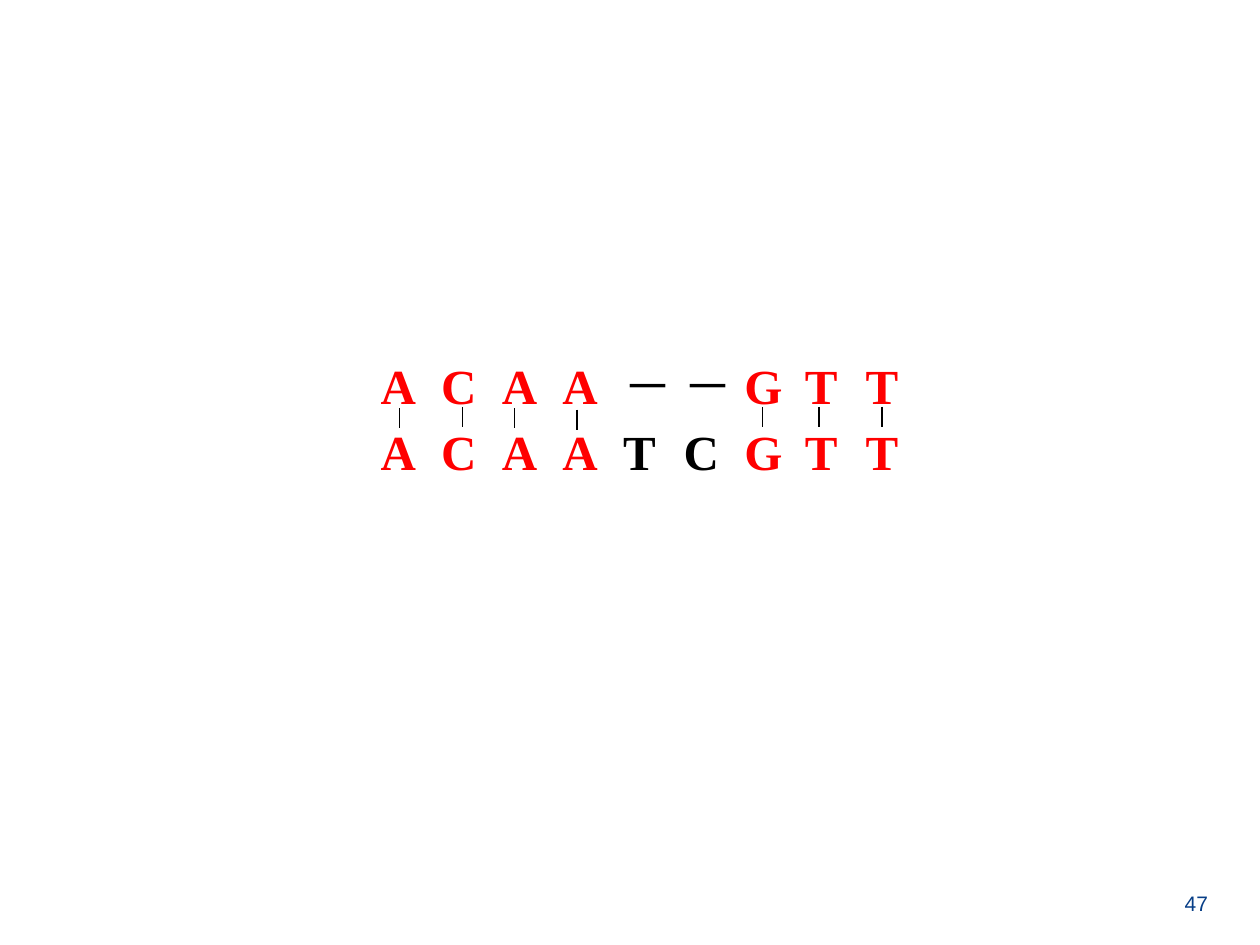
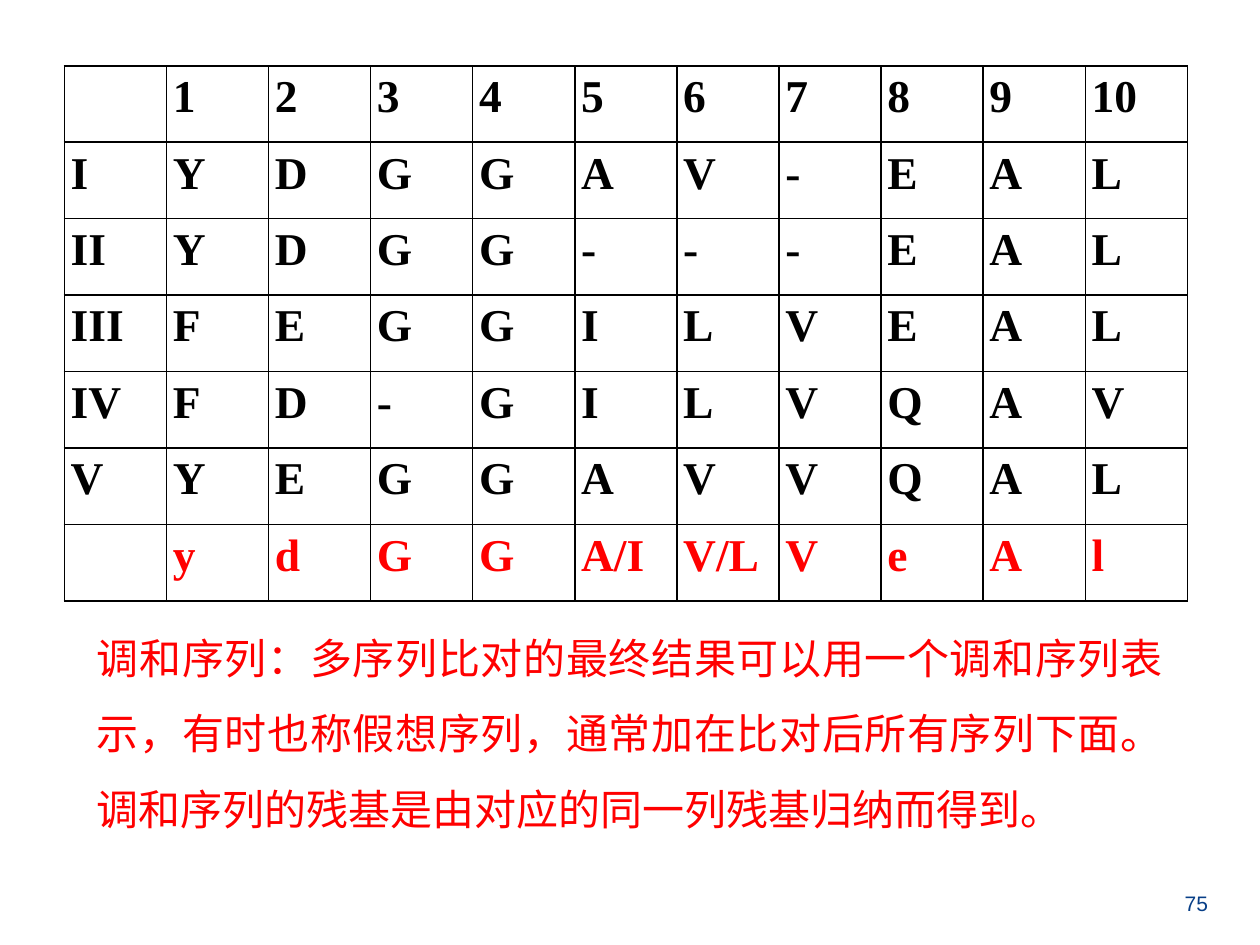
"""Build two slides on sequence alignment and consensus sequences."""
from dataclasses import dataclass

from lxml import etree
from pptx import Presentation
from pptx.dml.color import RGBColor
from pptx.enum.shapes import MSO_CONNECTOR, MSO_SHAPE
from pptx.enum.text import MSO_ANCHOR, MSO_AUTO_SIZE, PP_ALIGN
from pptx.oxml.ns import qn
from pptx.slide import Slide
from pptx.table import _Cell
from pptx.text.text import TextFrame
from pptx.util import Pt

JUSTIFY = PP_ALIGN.JUSTIFY
CENTER = PP_ALIGN.CENTER
TOP = MSO_ANCHOR.TOP
MIDDLE = MSO_ANCHOR.MIDDLE
FIT_SHAPE = MSO_AUTO_SIZE.SHAPE_TO_FIT_TEXT
STRAIGHT = MSO_CONNECTOR.STRAIGHT
ROUNDED = MSO_SHAPE.ROUNDED_RECTANGLE

COLORS = {"paper": "FFFFFF", "ink": "000000", "accent": "FF0000", "number": "073E87"}
LATIN_FONT = "Times New Roman"
CHINESE_FONT = "Noto Sans CJK SC"
INSET = 3.6
GAP = "－"

FIRST_SEQUENCE = "ACAA" + GAP * 2 + "GTT"
SECOND_SEQUENCE = "ACAATCGTT"
LETTER_LEFT, LETTER_TOP = 213.84, 199.4
LETTER_PITCH, LETTER_WIDTH, LETTER_HEIGHT = 34.65, 27.4, 38.2
BOND_LENGTH = 11.5

ALIGNMENT_ROWS = [
    ["", "1", "2", "3", "4", "5", "6", "7", "8", "9", "10"],
    ["I", *"YDGGAV-EAL"],
    ["II", *"YDGG---EAL"],
    ["III", *"FEGGILVEAL"],
    ["IV", *"FD-GILVQAV"],
    ["V", *"YEGGAVVQAL"],
    ["", "y", "d", "G", "G", "A/I", "V/L", "V", "e", "A", "l"],
]
CONSENSUS_TEXT = (
    "调和序列：多序列比对的最终结果可以用一个调和序列表示，"
    "有时也称假想序列，通常加在比对后所有序列下面。"
    "调和序列的残基是由对应的同一列残基归纳而得到。"
)


@dataclass(frozen=True)
class Box:
    left: float
    top: float
    width: float
    height: float

    def lengths(self) -> tuple[Pt, Pt, Pt, Pt]:
        return Pt(self.left), Pt(self.top), Pt(self.width), Pt(self.height)


@dataclass(frozen=True)
class TextStyle:
    size: float
    font: str
    color: str
    bold: bool = False
    alignment: PP_ALIGN = JUSTIFY
    anchor: MSO_ANCHOR = TOP
    space_before: float = 0
    line_spacing: float = 1.0
    wrap: bool = True


@dataclass(frozen=True)
class Bond:
    x: float
    top: float


BONDS = [
    Bond(228.2, 233.3), Bond(264.2, 232.5), Bond(294, 233.3), Bond(329.8, 234),
    Bond(435.6, 232.5), Bond(468, 232.5), Bond(504, 232.5),
]
PANEL_BOX = Box(32.4, 31.7, 657.4, 493.2)
NUMBER_BOX = Box(673.2, 505.5, 20.9, 20.9)
TABLE_BOX = Box(36.8, 37.6, 641.9, 305.8)
EXPLANATION_BOX = Box(51.8, 343.4, 616.3, 139)

NUMBER_STYLE = TextStyle(12, "Arial", "number", alignment=CENTER, anchor=MIDDLE, wrap=False)
EXPLANATION_STYLE = TextStyle(24, CHINESE_FONT, "accent", line_spacing=1.5)
GAP_STYLE = TextStyle(28, CHINESE_FONT, "ink", space_before=13)


def color(name: str) -> RGBColor:
    return RGBColor.from_string(COLORS[name])


def write_text(frame: TextFrame, text: str, style: TextStyle) -> None:
    paragraph = frame.paragraphs[0]
    paragraph.alignment = style.alignment
    paragraph.space_before = Pt(style.space_before)
    paragraph.line_spacing = style.line_spacing
    run = paragraph.add_run()
    run.text = text
    run.font.size = Pt(style.size)
    run.font.bold = style.bold
    run.font.color.rgb = color(style.color)
    run.font.name = style.font
    etree.SubElement(run.font._element, qn("a:ea"), typeface=style.font)


def set_insets(target: TextFrame | _Cell) -> None:
    target.margin_left = target.margin_right = Pt(INSET)
    target.margin_top = target.margin_bottom = Pt(INSET)


def add_text(slide: Slide, box: Box, text: str, style: TextStyle) -> None:
    frame = slide.shapes.add_textbox(*box.lengths()).text_frame
    set_insets(frame)
    frame.word_wrap = style.wrap
    frame.auto_size = FIT_SHAPE
    frame.vertical_anchor = style.anchor
    write_text(frame, text, style)


def add_base_slide(presentation: Presentation, number: str) -> Slide:
    slide = presentation.slides.add_slide(presentation.slide_layouts[6])
    slide.background.fill.solid()
    slide.background.fill.fore_color.rgb = color("paper")
    panel = slide.shapes.add_shape(ROUNDED, *PANEL_BOX.lengths())
    panel.adjustments[0] = 0.06
    panel.shadow.inherit = False
    panel.fill.solid()
    panel.fill.fore_color.rgb = color("paper")
    panel.line.color.rgb = color("paper")
    panel.line.width = Pt(1.25)
    add_text(slide, NUMBER_BOX, number, NUMBER_STYLE)
    return slide


def add_bond(slide: Slide, bond: Bond) -> None:
    connector = slide.shapes.add_connector(
        STRAIGHT, Pt(bond.x), Pt(bond.top), Pt(bond.x), Pt(bond.top + BOND_LENGTH)
    )
    connector.line.color.rgb = color("ink")
    connector.line.width = Pt(0.75)
    etree.SubElement(connector._element.spPr, qn("a:effectLst"))


def add_pairwise_alignment(slide: Slide) -> None:
    for column, pair in enumerate(zip(FIRST_SEQUENCE, SECOND_SEQUENCE)):
        letter_color = "accent" if pair[0] == pair[1] else "ink"
        letter_style = TextStyle(28, LATIN_FONT, letter_color, bold=True, space_before=13)
        for row, letter in enumerate(pair):
            box = Box(
                LETTER_LEFT + column * LETTER_PITCH,
                LETTER_TOP + row * LETTER_HEIGHT,
                LETTER_WIDTH,
                LETTER_HEIGHT,
            )
            add_text(slide, box, letter, GAP_STYLE if letter == GAP else letter_style)
    for bond in BONDS:
        add_bond(slide, bond)


def add_borders(cell: _Cell) -> None:
    properties = cell._tc.get_or_add_tcPr()
    for position, side in enumerate(("lnL", "lnR", "lnT", "lnB")):
        border = etree.Element(qn(f"a:{side}"), w=str(Pt(1)))
        fill = etree.SubElement(border, qn("a:solidFill"))
        etree.SubElement(fill, qn("a:srgbClr"), val=COLORS["ink"])
        properties.insert(position, border)


def add_alignment_table(slide: Slide) -> None:
    row_count, column_count = len(ALIGNMENT_ROWS), len(ALIGNMENT_ROWS[0])
    table = slide.shapes.add_table(row_count, column_count, *TABLE_BOX.lengths()).table
    table.first_row = False
    table.horz_banding = False
    for column in table.columns:
        column.width = Pt(TABLE_BOX.width / column_count)
    for row_index, values in enumerate(ALIGNMENT_ROWS):
        table.rows[row_index].height = Pt(TABLE_BOX.height / row_count)
        text_color = "accent" if row_index == row_count - 1 else "ink"
        style = TextStyle(26, LATIN_FONT, text_color, bold=True, space_before=12)
        for column_index, value in enumerate(values):
            cell = table.cell(row_index, column_index)
            set_insets(cell)
            cell.fill.background()
            add_borders(cell)
            if value:
                write_text(cell.text_frame, value, style)


def main() -> None:
    presentation = Presentation()
    presentation.slide_width = Pt(720)
    presentation.slide_height = Pt(540)
    add_pairwise_alignment(add_base_slide(presentation, "47"))
    consensus_slide = add_base_slide(presentation, "75")
    add_alignment_table(consensus_slide)
    add_text(consensus_slide, EXPLANATION_BOX, CONSENSUS_TEXT, EXPLANATION_STYLE)
    presentation.save("out.pptx")


if __name__ == "__main__":
    main()
